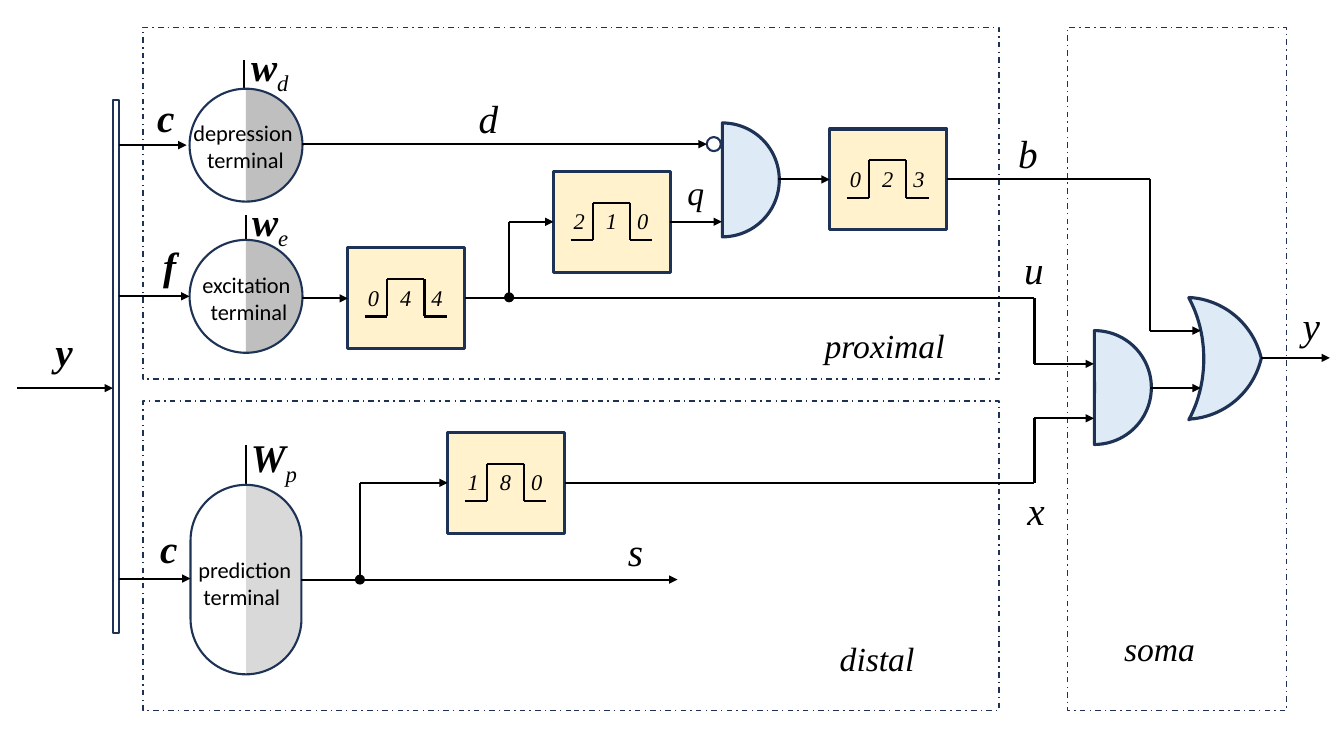
from itertools import pairwise
from math import cos, radians, sin

from lxml.etree import SubElement
from pptx import Presentation
from pptx.dml.color import RGBColor
from pptx.enum.dml import MSO_LINE
from pptx.enum.shapes import MSO_CONNECTOR, MSO_SHAPE
from pptx.enum.text import MSO_AUTO_SIZE, PP_ALIGN
from pptx.oxml.ns import qn
from pptx.util import Inches, Pt

BLACK, NAVY, WHITE = "000000", "1E3256", "FFFFFF"
CREAM, SKY, GREY, PALE = "FFF2CC", "DEEBF7", "BFBFBF", "D9D9D9"
SERIF, SANS = "Times New Roman", "Calibri"


def hue(code):
    return RGBColor.from_string(code)


def curve(x, y, rx, ry, start, stop, steps=24):
    turns = [radians(start + (stop - start) * i / steps) for i in range(steps + 1)]
    return [(x + rx * cos(t), y + ry * sin(t)) for t in turns]


class Board:
    label = {"name": SERIF, "size": Pt(28), "italic": True, "bold": False}
    wire = 1.5

    def __init__(self, slide):
        self.slide = slide
        self.top()

    def top(self):
        self.shapes = self.slide.shapes

    def group(self):
        self.shapes = self.slide.shapes.add_group_shape().shapes

    def paint(self, shape, fill, line, width, dash=None):
        shape.shadow.inherit = False
        if fill:
            shape.fill.solid()
            shape.fill.fore_color.rgb = hue(fill)
        else:
            shape.fill.background()
        if line:
            shape.line.color.rgb = hue(line)
            for key, val in {"width": Pt(width), "dash_style": dash}.items():
                setattr(shape.line, key, val)
        else:
            shape.line.fill.background()
        return shape

    def shape(self, kind, area, fill=None, line=None, width=1.5, dash=None, adj=()):
        item = self.shapes.add_shape(kind, *map(Inches, area))
        for i, val in enumerate(adj):
            item.adjustments[i] = val
        return self.paint(item, fill, line, width, dash)

    def half(self, area, fill, line=None):
        return self.shape(MSO_SHAPE.PIE, area, fill, line, 2.25, adj=(162, 54))

    def outline(self, points, fill, line, width):
        spots = [(Inches(x), Inches(y)) for x, y in points]
        pen = self.shapes.build_freeform(*spots[0])
        pen.add_line_segments(spots[1:], close=True)
        return self.paint(pen.convert_to_shape(), fill, line, width)

    def line(self, start, stop, arrow=False, source=None, target=None):
        item = self.shapes.add_connector(
            MSO_CONNECTOR.STRAIGHT, *map(Inches, (*start, *stop)))
        if source:
            item.begin_connect(source, 3)
        if target:
            item.end_connect(target, 1)
        item.line.color.rgb = hue(BLACK)
        item.line.width = Pt(self.wire)
        if arrow:
            SubElement(item._element.spPr.find(qn("a:ln")), qn("a:tailEnd"),
                       type="triangle")
        SubElement(item._element.spPr, qn("a:effectLst"))
        return item

    def text(self, area, words, sub="", align=PP_ALIGN.LEFT, inset=None, **style):
        frame = self.shapes.add_textbox(*map(Inches, area)).text_frame
        frame.word_wrap = False
        frame.auto_size = MSO_AUTO_SIZE.SHAPE_TO_FIT_TEXT
        if inset is not None:
            for side in ("left", "top", "right", "bottom"):
                setattr(frame, f"margin_{side}", Inches(inset))
        for i, row in enumerate(words.split("\n")):
            para = frame.add_paragraph() if i else frame.paragraphs[0]
            para.alignment = align
            self.run(para, row, style)
            if sub:
                low = self.run(para, sub, {**style, "bold": False})
                low.font._element.set("baseline", "-25000")

    def run(self, para, words, style):
        run = para.add_run()
        run.text = words
        for key, val in {**self.label, **style}.items():
            setattr(run.font, key, val)
        run.font.color.rgb = hue(BLACK)
        return run

    def name(self, area, words, align=PP_ALIGN.CENTER):
        self.text(area, words, align=align, name=SANS, size=Pt(16), italic=False)

    def round(self, y, area, words):
        disc = (1.88, y, 1.12, 1.12)
        self.group()
        self.shape(MSO_SHAPE.OVAL, disc, WHITE)
        self.half(disc, GREY)
        self.shape(MSO_SHAPE.OVAL, disc, line=NAVY)
        self.name(area, words)
        self.top()

    def pulse(self, x, mid, digits):
        y = mid - 0.5
        self.group()
        box = self.shape(MSO_SHAPE.RECTANGLE, (x, y, 1.16, 1), CREAM, NAVY, 2.25)
        steps = [(0.17, 0.68), (0.39, 0.68), (0.39, 0.31),
                 (0.76, 0.31), (0.76, 0.68), (0.98, 0.68)]
        for a, b in pairwise((x + dx, y + dy) for dx, dy in steps):
            self.line(a, b)
        for dx, digit in zip((0.1, 0.42, 0.73), digits):
            self.text((x + dx, y + 0.31, 0.31, 0.37), digit, size=Pt(16))
        self.top()
        return box

    def dot(self, x, y):
        self.shape(MSO_SHAPE.OVAL, (x - 0.05, y - 0.05, 0.1, 0.1), BLACK)


def main():
    deck = Presentation()
    deck.slide_width, deck.slide_height = Inches(13.33), Inches(7.5)
    board = Board(deck.slides.add_slide(deck.slide_layouts[6]))

    for area in ((1.42, 0.27, 8.49, 3.49), (1.42, 3.98, 8.49, 3.07),
                 (10.59, 0.27, 2.17, 6.78)):
        board.shape(MSO_SHAPE.RECTANGLE, area, line=NAVY, width=1,
                    dash=MSO_LINE.DASH_DOT)
    board.shape(MSO_SHAPE.RECTANGLE, (1.12, 0.99, 0.06, 5.29), WHITE, NAVY, 1)

    for x, low, high in ((2.42, 0.88, 0.6), (2.44, 2.38, 2.13), (2.44, 4.81, 4.41)):
        board.line((x, low), (x, high))
    board.round(0.88, (1.81, 1.13, 1.25, 0.64), "depression \nterminal")
    board.round(2.38, (1.9, 2.64, 1.14, 0.64), "excitation \nterminal")

    pill = (1.89, 4.81, 1.1, 1.88)
    board.group()
    board.shape(MSO_SHAPE.ROUNDED_RECTANGLE, pill, PALE, adj=(0.5,))
    board.shape(MSO_SHAPE.RECTANGLE, (1.88, 4.8, 0.56, 1.89), WHITE)
    board.shape(MSO_SHAPE.ROUNDED_RECTANGLE, pill, line=NAVY, adj=(0.5,))
    board.name((1.87, 5.47, 1.13, 0.64), "prediction\n terminal", PP_ALIGN.LEFT)
    board.top()

    excite = board.pulse(3.45, 2.96, "044")
    query = board.pulse(5.49, 2.2, "210")
    burst = board.pulse(8.23, 1.78, "023")
    predict = board.pulse(4.44, 4.79, "180")

    board.half((6.6, 1.22, 1.13, 1.13), SKY, NAVY)
    board.half((10.29, 3.28, 1.13, 1.13), SKY, NAVY)
    board.shape(MSO_SHAPE.OVAL, (7.01, 1.36, 0.14, 0.14), line=NAVY)
    board.outline(curve(11.75, 3.73, 0.78, 0.78, -86, -13)
                  + curve(11.75, 3.38, 0.78, 0.78, 13, 86)
                  + curve(11.16, 3.56, 0.78, 1.03, 36, -36), SKY, NAVY, 2.25)

    for start, stop in (
            ((0.17, 3.85), (1.12, 3.85)), ((1.18, 1.44), (1.85, 1.44)),
            ((1.18, 2.94), (1.88, 2.94)), ((1.18, 5.74), (1.89, 5.74)),
            ((3, 1.43), (7.01, 1.43)), ((2.99, 5.75), (6.72, 5.75)),
            ((10.26, 3.61), (10.85, 3.61)), ((10.26, 4.15), (10.85, 4.15)),
            ((11.41, 3.28), (11.91, 3.28)), ((11.41, 3.85), (11.91, 3.85)),
            ((12.51, 3.55), (13.19, 3.55))):
        board.line(start, stop, True)
    for start, box in (((3, 2.96), excite), ((5.05, 2.2), query),
                       ((7.72, 1.78), burst), ((3.57, 4.79), predict)):
        board.line(start, start, True, target=box)
    for box, stop, arrow in ((excite, (10.26, 2.96), False), (query, (7.16, 2.2), True),
                             (burst, (11.41, 1.78), False),
                             (predict, (10.26, 4.79), False)):
        board.line(stop, stop, arrow, source=box)
    for x, start, stop in ((5.05, 2.96, 2.2), (3.57, 5.75, 4.79), (10.26, 2.96, 3.61),
                           (10.26, 4.79, 4.15), (11.41, 1.78, 3.28)):
        board.line((x, start), (x, stop))
    board.dot(5.05, 2.95)
    board.dot(3.57, 5.75)

    for x, y, wide, words in ((1.46, 0.88, 0.38, "c"), (1.52, 2.34, 0.33, "f"),
                              (0.45, 3.2, 0.38, "y"), (1.49, 5.15, 0.38, "c")):
        board.text((x, y, wide, 0.57), words, bold=True)
    for x, y, wide, words in ((4.65, 0.89, 0.4, "d"), (10, 1.23, 0.4, "b"),
                              (10.06, 2.38, 0.4, "u"), (10.09, 4.78, 0.38, "x"),
                              (6.13, 5.18, 0.35, "s"), (12.82, 2.94, 0.38, "y")):
        board.text((x, y, wide, 0.57), words)
    for x, y, wide, words in ((6.72, 1.66, 0.37, "q"), (8.08, 3.17, 1.4, "proximal"),
                              (8.23, 6.28, 0.95, "distal"), (11.05, 6.18, 0.91, "soma")):
        board.text((x, y, wide, 0.5), words, size=Pt(24))
    board.text((2.49, 0.42, 0.39, 0.47), "w", "d", inset=0, bold=True)
    board.text((2.5, 1.96, 0.38, 0.47), "w", "e", inset=0, bold=True)
    board.text((2.39, 4.25, 0.68, 0.57), "W", "p", bold=True)

    deck.save("out.pptx")


if __name__ == "__main__":
    main()
